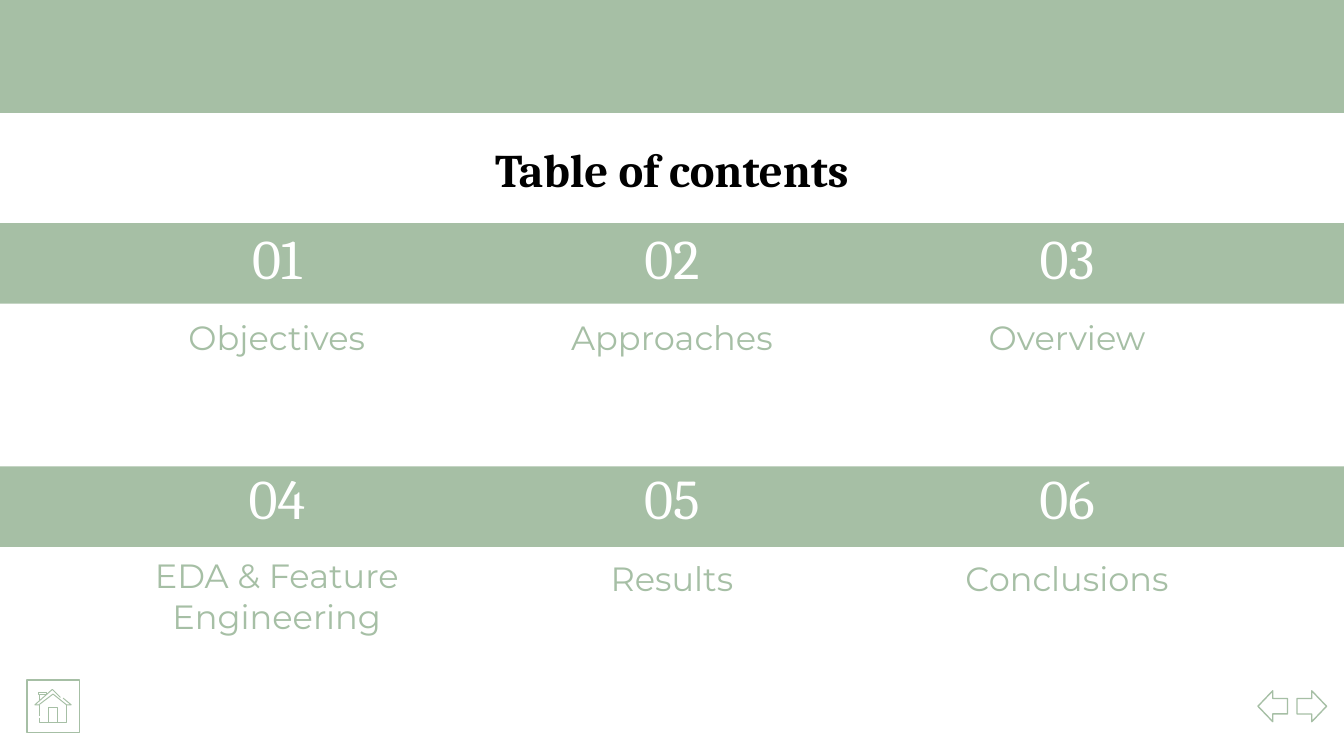
import dataclasses

import pptx
import pptx.dml.color
import pptx.enum.shapes
import pptx.enum.text
import pptx.util

Inches = pptx.util.Inches
SHAPE = pptx.enum.shapes.MSO_SHAPE
ANCHOR = pptx.enum.text.MSO_ANCHOR
ALIGN = pptx.enum.text.PP_ALIGN


@dataclasses.dataclass(frozen=True)
class Theme:
    sage: str = "A6BFA5"
    white: str = "FFFFFF"
    black: str = "000000"
    serif: str = "Cambria"
    sans: str = "Montserrat"
    title: int = 25
    number: int = 30
    label: int = 18
    line: float = 0.75
    thin: float = 0.5


THEME = Theme()
WIDTH = 10
HEIGHT = WIDTH * 9 / 16
STEP = 2.94
ROWS = [
    [("01", "Objectives", 1), ("02", "Approaches", 1), ("03", "Overview", 1)],
    [("04", "EDA & Feature Engineering", 2), ("05", "Results", 1),
     ("06", "Conclusions", 1)],
]
# Strokes of the house icon, in 1/200 inch from its top left corner
HOUSE = [
    [(38, 12), (26, 0), (0, 23), (6, 23), (27, 7), (47, 23), (54, 23), (42, 13)],
    [(7, 40), (7, 24)],
    [(7, 42), (7, 49), (47, 49), (47, 24)],
    [(21, 49), (21, 27), (33, 27), (33, 49)],
    [(7, 16), (7, 8), (5, 8), (5, 4), (17, 4), (17, 8), (7, 8)],
]


def rgb(color):
    return pptx.dml.color.RGBColor.from_string(color)


def paint(shape, fill=None, line=None, width=THEME.line):
    shape.shadow.inherit = False
    if fill:
        shape.fill.solid()
        shape.fill.fore_color.rgb = rgb(fill)
    else:
        shape.fill.background()
    if line:
        shape.line.color.rgb = rgb(line)
        shape.line.width = pptx.util.Pt(width)
    else:
        shape.line.fill.background()


def add_shape(slide, kind, box, **style):
    shape = slide.shapes.add_shape(kind, *map(Inches, box))
    paint(shape, **style)
    return shape


def add_text(slide, text, box, size, font, color, bold=False, anchor=ANCHOR.BOTTOM):
    frame = slide.shapes.add_textbox(*map(Inches, box)).text_frame
    frame.word_wrap = True
    frame.vertical_anchor = anchor
    frame.margin_left = frame.margin_right = Inches(0.1)
    frame.margin_top = frame.margin_bottom = Inches(0.1)
    para = frame.paragraphs[0]
    para.alignment = ALIGN.CENTER
    run = para.add_run()
    run.text = text
    run.font.size = pptx.util.Pt(size)
    run.font.name = font
    run.font.bold = bold
    run.font.color.rgb = rgb(color)


def add_header(slide, left, top, width):
    add_shape(slide, SHAPE.RECTANGLE, (left - 0.05, top - 0.06, width + 0.11, 0.9),
              fill=THEME.sage)
    add_text(slide, "Table of contents", (left + 0.78, top + 0.95, width - 1.56, 0.6),
             THEME.title, THEME.serif, THEME.black, bold=True, anchor=ANCHOR.TOP)


def add_item(slide, mid, top, item):
    """Place a number and its label, centred on mid."""
    number, label, lines = item
    add_text(slide, number, (mid - 0.57, top, 1.14, 0.66),
             THEME.number, THEME.serif, THEME.white)
    add_text(slide, label, (mid - 1.28, top + 0.65, 2.56, 0.23 + 0.28 * lines),
             THEME.label, THEME.sans, THEME.sage)


def add_row(slide, left, top, width, items, inset):
    """Place a band and its items; inset is how far the band sits below top."""
    add_shape(slide, SHAPE.RECTANGLE, (left, top + inset, width, 0.6), fill=THEME.sage)
    for i, item in enumerate(items):
        add_item(slide, left + width / 2 + STEP * (i - 1), top, item)


def add_home(slide, left, top, side):
    frame = {"fill": THEME.white, "line": THEME.sage}
    add_shape(slide, SHAPE.RECTANGLE, (left, top, side, side), **frame)
    pen = slide.shapes.build_freeform(*HOUSE[0][0], scale=Inches(1) / 200)
    for i, stroke in enumerate(HOUSE):
        if i:
            pen.move_to(*stroke[0])
        pen.add_line_segments(stroke[1:], close=False)
    house = pen.convert_to_shape(Inches(left + 0.06), Inches(top + 0.07))
    paint(house, line=THEME.sage, width=THEME.thin)


def add_arrows(slide, left, top, gap):
    for i in range(2):
        arrow = add_shape(slide, SHAPE.LEFT_ARROW, (left + gap * i, top, 0.22, 0.23),
                          fill=THEME.white, line=THEME.sage)
        arrow.rotation = 180 * i


def main():
    deck = pptx.Presentation()
    deck.slide_width, deck.slide_height = Inches(WIDTH), Inches(HEIGHT)
    slide = deck.slides.add_slide(deck.slide_layouts[6])
    add_header(slide, 0, 0, WIDTH)
    for i, items in enumerate(ROWS):
        add_row(slide, 0, 1.6 + 1.79 * i, WIDTH, items, 0.06 + 0.02 * i)
    add_arrows(slide, 9.36, 5.14, 0.29)
    add_home(slide, 0.2, 5.06, 0.39)
    deck.save("out.pptx")


if __name__ == "__main__":
    main()
